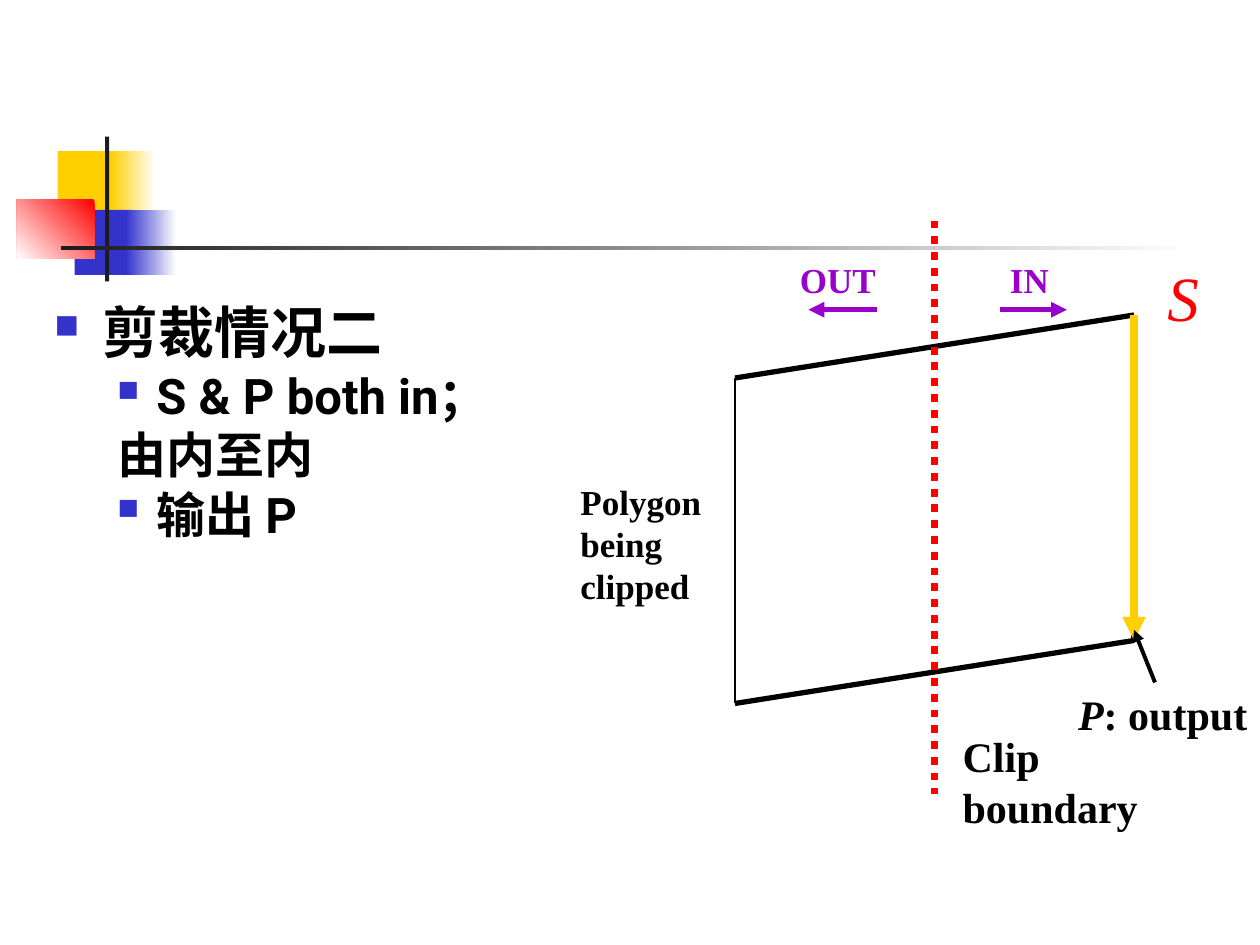
from lxml.etree import SubElement
from pptx import Presentation
from pptx.dml.color import RGBColor
from pptx.enum.dml import MSO_LINE_DASH_STYLE as Dash
from pptx.enum.shapes import MSO_CONNECTOR as Connector, MSO_SHAPE as Shape
from pptx.enum.text import MSO_AUTO_SIZE as AutoSize
from pptx.oxml.ns import qn
from pptx.util import Inches, Pt

BLACK = RGBColor(0x00, 0x00, 0x00)
WHITE = RGBColor(0xFF, 0xFF, 0xFF)
CHARCOAL = RGBColor(0x1C, 0x1C, 0x1C)
YELLOW = RGBColor(0xFF, 0xCF, 0x01)
BLUE = RGBColor(0x33, 0x33, 0xCC)
RED = RGBColor(0xFF, 0x00, 0x00)
PURPLE = RGBColor(0x99, 0x00, 0xCC)

COLUMNS, ROWS = 120, 90
LEFTWARD, DOWN_LEFT = 180, 225


class SlideBuilder:
    """Draws on one slide; lengths are columns and rows of the grid."""

    body_font = "Roboto"
    label_font = "Times New Roman"

    def __init__(self, presentation):
        self.slide = presentation.slides.add_slide(presentation.slide_layouts[6])
        self.shapes = self.slide.shapes
        self.column = presentation.slide_width / COLUMNS
        self.row = presentation.slide_height / ROWS

    def place(self, x, y):
        return round(x * self.column), round(y * self.row)

    def block(self, x, y, width, height, *colors, angle=LEFTWARD):
        """Rectangle with one solid colour, or a gradient between two."""
        shape = self.shapes.add_shape(
            Shape.RECTANGLE, *self.place(x, y), *self.place(width, height))
        shape.shadow.inherit = False
        shape.line.fill.background()
        if len(colors) == 1:
            shape.fill.solid()
            shape.fill.fore_color.rgb = colors[0]
            return
        shape.fill.gradient()
        shape.fill.gradient_angle = angle
        for stop, position, color in zip(shape.fill.gradient_stops, (0, 1), colors):
            stop.position = position
            stop.color.rgb = color

    def line(self, start, end, width, color=BLACK, arrow=False, dash=None):
        connector = self.shapes.add_connector(
            Connector.STRAIGHT, *self.place(*start), *self.place(*end))
        connector.line.color.rgb = color
        connector.line.width = Pt(width)
        if dash:
            connector.line.dash_style = dash
        if arrow:
            SubElement(connector.line._get_or_add_ln(), qn("a:tailEnd"), type="triangle")
        SubElement(connector._element.spPr, qn("a:effectLst"))

    def text_frame(self, x, y, width, height, wrap):
        box = self.shapes.add_textbox(*self.place(x, y), *self.place(width, height))
        frame = box.text_frame
        frame.word_wrap = wrap
        frame.auto_size = AutoSize.NONE if wrap else AutoSize.SHAPE_TO_FIT_TEXT
        return frame

    def paragraphs(self, frame, count):
        return [frame.paragraphs[0]] + [frame.add_paragraph() for _ in range(count - 1)]

    def run(self, paragraph, text, color=BLACK, **formats):
        run = paragraph.add_run()
        run.text = text
        run.font.color.rgb = color
        for name, value in formats.items():
            setattr(run.font, name, value)

    def label(self, x, y, width, height, lines, size, color=BLACK, bold=True):
        """Each line is a list of (text, italic) runs."""
        frame = self.text_frame(x, y, width, height, wrap=False)
        for paragraph, runs in zip(self.paragraphs(frame, len(lines)), lines):
            for text, italic in runs:
                self.run(paragraph, text, color, name=self.label_font,
                         size=Pt(size), bold=bold, italic=italic)

    def bullet(self, properties):
        color = SubElement(properties, qn("a:buClr"))
        SubElement(color, qn("a:srgbClr"), val=str(BLUE))
        SubElement(properties, qn("a:buSzPct"), val="60000")
        SubElement(properties, qn("a:buChar"), char="■")

    def outline(self, x, y, width, height, items):
        """Each item is (text, level, has bullet)."""
        sizes, margins, hangs = (32, 28), (0.38, 0.81), (0.38, 0.31)
        frame = self.text_frame(x, y, width, height, wrap=True)
        for index, paragraph in enumerate(self.paragraphs(frame, len(items))):
            text, level, has_bullet = items[index]
            formats = {"level": level, "line_spacing": 0.8,
                       "space_before": Pt(7 if index else 0)}
            for name, value in formats.items():
                setattr(paragraph, name, value)
            properties = paragraph._p.get_or_add_pPr()
            properties.set("marL", str(Inches(margins[level])))
            properties.set("indent", str(-Inches(hangs[level])))
            if has_bullet:
                self.bullet(properties)
            self.run(paragraph, text, name=self.body_font,
                     size=Pt(sizes[level]), bold=True)


def draw_ornament(builder):
    builder.block(5.5, 14.4, 5.8, 6.2, YELLOW)
    builder.block(10.5, 14.4, 4.3, 6.2, WHITE, YELLOW)
    builder.block(7.1, 20, 5.5, 6.2, BLUE)
    builder.block(12, 20, 4.8, 6.2, WHITE, BLUE)
    builder.block(1.6, 19, 7.4, 5.6, RED, WHITE, angle=DOWN_LEFT)
    builder.block(10, 13, 0.4, 13.8, CHARCOAL)
    builder.block(5.8, 23.4, 108, 0.4, WHITE, CHARCOAL)


def draw_polygon(builder):
    left, right, height = 70, 108, 31
    top_left, top_right = (left, 36), (right, 30)
    bottom_left, bottom_right = (left, 36 + height), (right, 30 + height)
    builder.line(top_left, bottom_left, 1.5)
    for start, end in ((top_left, top_right), (bottom_left, bottom_right),
                       (top_right, bottom_right)):
        builder.line(start, end, 3)
    builder.line(top_right, bottom_right, 4.5, YELLOW, arrow=True)
    builder.line((89, 21), (89, 75.6), 4.5, RED, dash=Dash.ROUND_DOT)


def draw_labels(builder):
    builder.label(54.1, 45.2, 13.9, 13.2,
                  [[("Polygon", False)], [("being", False)], [("clipped", False)]], 20)
    builder.label(101.5, 65, 18.5, 6, [[("P", True), (": output", False)]], 24)
    builder.label(90.5, 69, 19.1, 10.8, [[("Clip", False)], [("boundary", False)]], 24)
    builder.line((110, 65), (108, 60), 2.25, arrow=True)
    builder.label(110, 24, 5.4, 8.4, [[("S", True)]], 36, RED, bold=False)
    sides = (("IN", 95, 6.1, 95.2, 101.6), ("OUT", 75, 9.6, 83.5, 77))
    for text, x, width, start, end in sides:
        builder.label(x, 24, width, 5.3, [[(text, False)]], 20, PURPLE)
        builder.line((start, 29.5), (end, 29.5), 3, PURPLE, arrow=True)


def main():
    presentation = Presentation()
    presentation.slide_width, presentation.slide_height = Inches(10), Inches(7.5)
    builder = SlideBuilder(presentation)
    draw_ornament(builder)
    builder.outline(4, 29, 50, 34, [
        ("剪裁情况二", 0, True),
        ("S & P both in；", 1, True),
        ("由内至内", 1, False),
        ("输出 P", 1, True),
    ])
    draw_polygon(builder)
    draw_labels(builder)
    presentation.save("out.pptx")


if __name__ == "__main__":
    main()
